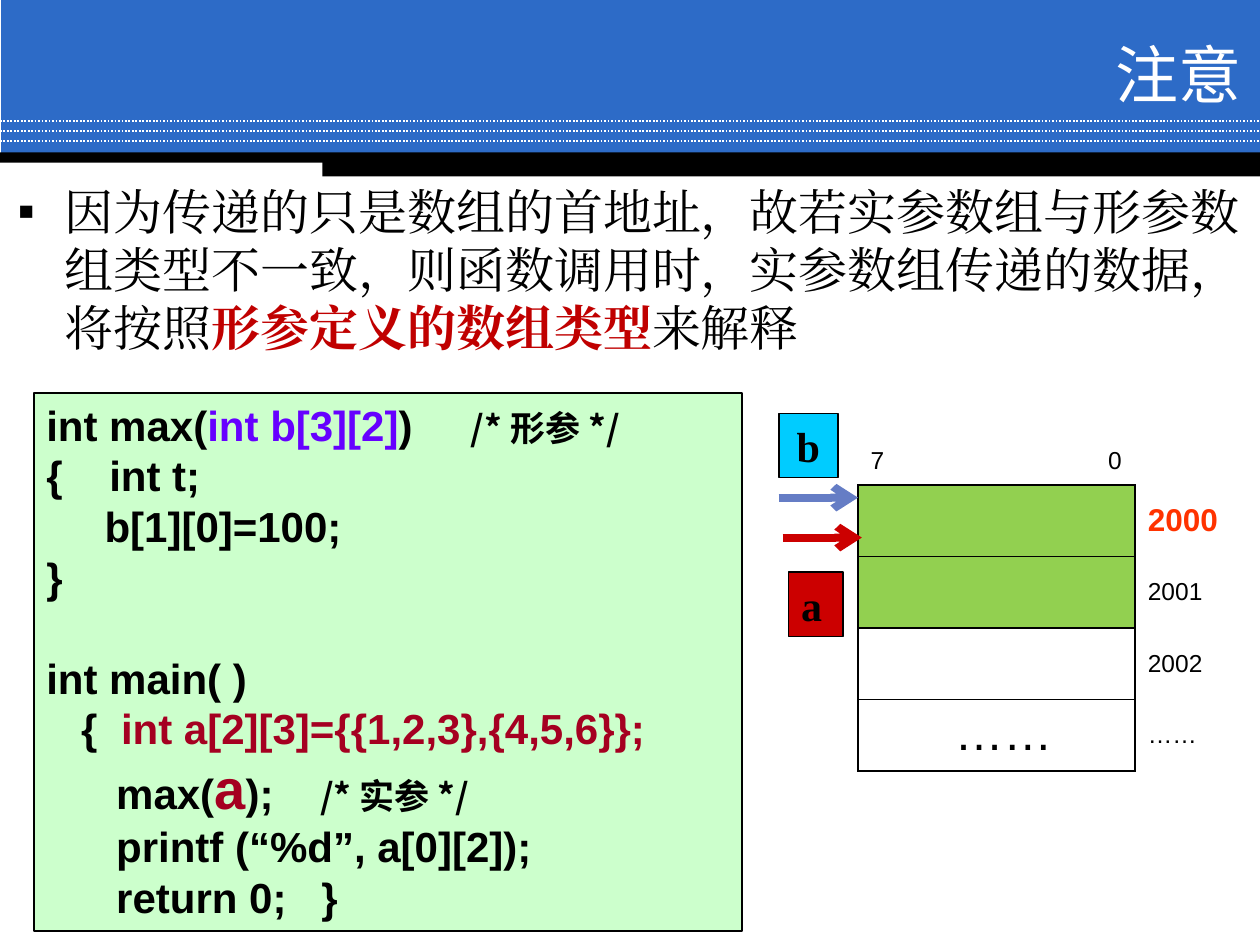
from dataclasses import dataclass

from lxml import etree
from pptx import Presentation
from pptx.dml.color import RGBColor
from pptx.enum.dml import MSO_LINE
from pptx.enum.shapes import MSO_CONNECTOR, MSO_SHAPE
from pptx.enum.text import MSO_ANCHOR, MSO_AUTO_SIZE, PP_ALIGN
from pptx.oxml.ns import qn
from pptx.util import Pt

RECT, STRAIGHT = MSO_SHAPE.RECTANGLE, MSO_CONNECTOR.STRAIGHT
LEFT, CENTER, RIGHT = PP_ALIGN.LEFT, PP_ALIGN.CENTER, PP_ALIGN.RIGHT
TOP, MIDDLE = MSO_ANCHOR.TOP, MSO_ANCHOR.MIDDLE
DOTTED, NO_FIT = MSO_LINE.ROUND_DOT, MSO_AUTO_SIZE.NONE
NO_STYLE_NO_GRID = "{2D5ABB26-0587-4C30-8999-92F81FD0307C}"


@dataclass(frozen=True)
class Theme:
    sans: str = "Arial"
    serif: str = "Times New Roman"
    cjk: str = "Noto Sans CJK SC"
    white: str = "FFFFFF"
    black: str = "000000"
    band: str = "2D6BC7"
    emphasis: str = "C00000"
    code_fill: str = "CCFFCC"
    formal: str = "6600FF"
    actual: str = "A50021"
    used_cell: str = "92D050"
    first_address: str = "FF3300"
    a_red: str = "CC0000"
    b_cyan: str = "00CCFF"
    b_arrow: str = "657DC5"
    title: int = 36
    body: int = 28
    code: int = 24
    comment: int = 20
    large: int = 32
    address: int = 18
    small: int = 14


T = Theme()


def style(font, name=None, size=None, color=None, bold=None):
    if size:
        font.size = Pt(size)
    if bold is not None:
        font.bold = bold
    if color:
        font.color.rgb = RGBColor.from_string(color)
    if name:
        font.name = name
        latin = font._element.find(qn("a:latin")) if hasattr(font, "_element") else font._rPr.find(qn("a:latin"))
        east_asian = etree.Element(qn("a:ea"), typeface=name)
        latin.addnext(east_asian)


def write(paragraph, runs, align=LEFT, **font):
    """Fill a paragraph from (text, run overrides) pairs."""
    paragraph.alignment = align
    style(paragraph.font, **font)
    for text, override in runs:
        run = paragraph.add_run()
        run.text = text
        style(run.font, **override)


def place(shape, box):
    shape.left, shape.top, shape.width, shape.height = map(Pt, box)


def add_rect(slide, box, fill, line=None, weight=1):
    rect = slide.shapes.add_shape(RECT, *map(Pt, box))
    rect.shadow.inherit = False
    rect.fill.solid()
    rect.fill.fore_color.rgb = RGBColor.from_string(fill)
    if line:
        rect.line.color.rgb = RGBColor.from_string(line)
        rect.line.width = Pt(weight)
    else:
        rect.line.fill.background()
    return rect


def add_line(slide, x1, x2, y, color, weight):
    line = slide.shapes.add_connector(STRAIGHT, Pt(x1), Pt(y), Pt(x2), Pt(y))
    line.line.color.rgb = RGBColor.from_string(color)
    line.line.width = Pt(weight)
    etree.SubElement(line.element.spPr, qn("a:effectLst"))
    return line


def add_arrow(slide, x, y, length, color):
    arrow = add_line(slide, x, x + length, y, color, 4.5)
    etree.SubElement(arrow.line._get_or_add_ln(), qn("a:tailEnd"), type="arrow")


def header(slide, box):
    x, y, w, h = box
    add_rect(slide, (x + 0.7, y, w - 0.7, 88.5), T.band)
    for i in range(3):
        add_line(slide, x, x + w, y + 69.1 + 5.75 * i, T.white, 1).line.dash_style = DOTTED
    add_rect(slide, (x, y + 87.1, w, 5.8), T.black)
    add_rect(slide, (x + 184.3, y + 89.3, w - 184.3, h - 89.3), T.black)

    # Title in front of the band
    title = slide.shapes.title
    place(title, (x + 218.2, y + 20.9, 498.2, 41.8))
    title.element.getparent().append(title.element)
    title.text_frame.auto_size = NO_FIT
    title.text_frame.vertical_anchor = MIDDLE
    write(title.text_frame.paragraphs[0], [("注意", {})], RIGHT,
          name=T.sans, size=T.title, color=T.white)


def explanation(slide, box):
    body = slide.placeholders[1]
    place(body, box)
    body.text_frame.auto_size = NO_FIT
    body.text_frame.vertical_anchor = TOP
    paragraph = body.text_frame.paragraphs[0]
    properties = paragraph._p.get_or_add_pPr()
    properties.set("marL", str(Pt(27)))
    properties.set("indent", str(-Pt(27)))
    etree.SubElement(properties, qn("a:buChar"), char="▪")
    paragraph.space_before = Pt(0)
    paragraph.line_spacing = Pt(33.4)
    write(paragraph, [
        ("因为传递的只是数组的首地址，故若实参数组与形参数组类型不一致，"
         "则函数调用时，实参数组传递的数据，将按照", {}),
        ("形参定义的数组类型", dict(color=T.emphasis, bold=True)),
        ("来解释", {}),
    ], name=T.serif, size=T.body, color=T.black)


def code_panel(slide, box):
    comment = dict(name=T.cjk, size=T.comment)
    actual = dict(color=T.actual)
    pitch, tall_pitch = 28.9, 38.5
    functions = [
        [[("int max(", {}), ("int b[3][2]", dict(color=T.formal)),
          (")     ", {}), ("/* 形参 */", comment)],
         [("{    int t;", {})],
         [("     b[1][0]=100;", {})],
         [("}", {})]],
        [[("int main( )", {})],
         [("   {  ", {}), ("int a[2][3]={{1,2,3},{4,5,6}};", actual)],
         [("      max(", {}), ("a", dict(size=T.large, **actual)),
          (");    ", {}), ("/* 实参 */", comment)],
         [("      printf (“%d”, a[0][2]);", {})],
         [("      return 0;   }", {})]],
    ]
    frame = add_rect(slide, box, T.code_fill, T.black).text_frame
    frame.word_wrap = True
    frame.vertical_anchor = TOP
    for f, lines in enumerate(functions):
        for n, runs in enumerate(lines):
            paragraph = frame.paragraphs[0] if f == n == 0 else frame.add_paragraph()
            if f and n == 0:
                paragraph.space_before = Pt(pitch)
            tall = any(override.get("size") == T.large for _, override in runs)
            paragraph.line_spacing = Pt(tall_pitch if tall else pitch)
            write(paragraph, runs, name=T.sans, size=T.code, color=T.black, bold=True)


def set_borders(cell, sides):
    properties = cell._tc.get_or_add_tcPr()
    for side in sides:
        line = etree.SubElement(properties, qn(f"a:ln{side}"), w=str(Pt(1)))
        fill = etree.SubElement(line, qn("a:solidFill"))
        etree.SubElement(fill, qn("a:srgbClr"), val=T.black)


def memory_table(slide, box):
    addresses = ["2000", "2001", "2002", "……"]
    x, y, w, h = box
    bits_height, byte_width = 25.2, 158.4
    frame = slide.shapes.add_table(len(addresses) + 1, 2, *map(Pt, box))
    frame.element.find(".//" + qn("a:tableStyleId")).text = NO_STYLE_NO_GRID
    table = frame.table
    table.first_row = table.horz_banding = False
    table.columns[0].width, table.columns[1].width = Pt(byte_width), Pt(w - byte_width)
    plain = dict(name=T.sans, size=T.small, color=T.black)

    # Bit numbers, the lowest at a right tab
    table.rows[0].height = Pt(bits_height)
    bits, corner = table.cell(0, 0), table.cell(0, 1)
    set_borders(bits, "B")
    corner.margin_top = corner.margin_bottom = 0
    paragraph = bits.text_frame.paragraphs[0]
    tabs = etree.SubElement(paragraph._p.get_or_add_pPr(), qn("a:tabLst"))
    etree.SubElement(tabs, qn("a:tab"), pos=str(Pt(143.5)), algn="r")
    write(paragraph, [("7\t0", {})], **plain)

    # One byte per row with its address
    for row, address in enumerate(addresses, 1):
        table.rows[row].height = Pt((h - bits_height) / len(addresses))
        byte, label = table.cell(row, 0), table.cell(row, 1)
        set_borders(byte, "LRTB")
        set_borders(label, "L")
        if row <= 2:
            byte.fill.solid()
            byte.fill.fore_color.rgb = RGBColor.from_string(T.used_cell)
        label.vertical_anchor = MIDDLE
        first = dict(size=T.address, color=T.first_address, bold=True) if row == 1 else {}
        write(label.text_frame.paragraphs[0], [(address, {})], **{**plain, **first})
    write(byte.text_frame.paragraphs[0], [(" ……", {})], CENTER,
          **{**plain, "size": T.body})


def pointer_label(slide, box, name, fill, align, weight):
    frame = add_rect(slide, box, fill, T.black, weight).text_frame
    frame.vertical_anchor = MIDDLE
    frame.word_wrap = True
    write(frame.paragraphs[0], [(name, {})], align,
          name=T.serif, size=T.code, color=T.black, bold=True)


def memory_diagram(slide, box):
    x, y, w, h = box
    memory_table(slide, (x + 45.3, y + 15.8, w - 45.3, h - 15.8))
    add_arrow(slide, x + 2.2, y + 71, 45.3, T.a_red)
    add_arrow(slide, x, y + 48.2, 45.3, T.b_arrow)
    pointer_label(slide, (x + 5.8, y + 90.7, 31, 36.7), "a", T.a_red, LEFT, 0.75)
    pointer_label(slide, (x, y, 33.8, 36.7), "b", T.b_cyan, CENTER, 1)


def main():
    deck = Presentation()
    deck.slide_width, deck.slide_height = Pt(720), Pt(540)
    slide = deck.slides.add_slide(deck.slide_layouts[1])
    header(slide, (0, 0, 720, 100.8))
    code_panel(slide, (19.4, 224.6, 404.6, 307.4))
    explanation(slide, (2.9, 100.1, 714.2, 102.2))
    memory_diagram(slide, (445, 236.2, 317.5, 204.6))
    deck.save("out.pptx")


if __name__ == "__main__":
    main()
